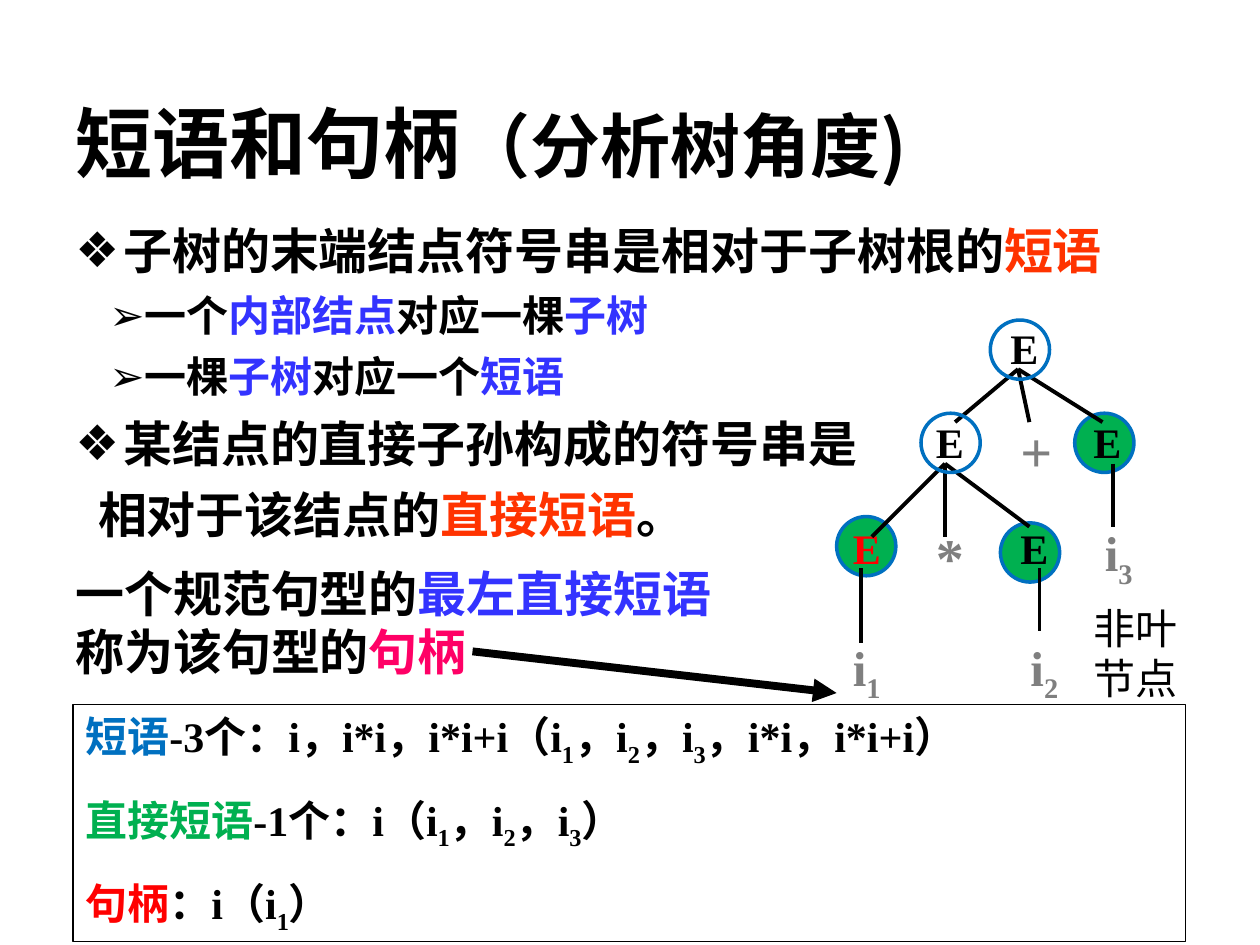
"""Build the slide on phrases and handles seen from the parse tree."""
from dataclasses import dataclass

import lxml.etree
import pptx
import pptx.dml.color
import pptx.enum.shapes
import pptx.enum.text
import pptx.oxml.ns
import pptx.util
from pptx.util import Inches


@dataclass(frozen=True)
class Theme:
    black: str = "000000"
    grey: str = "7F7F7F"
    orange: str = "FF3300"
    violet: str = "3333FF"
    blue: str = "0070C0"
    green: str = "00B050"
    red: str = "FF0000"
    pink: str = "FF0066"
    sans: str = "Noto Sans CJK SC"
    serif: str = "Times New Roman"
    plain: str = "Arial"
    title: int = 44
    subtitle: int = 40
    operator: int = 32
    large: int = 28
    medium: int = 24


theme = Theme()
qn = pptx.oxml.ns.qn


def write_spans(para, spans, size, font, bold=True):
    """Add coloured spans; the character after an underscore is a subscript."""
    para.alignment = pptx.enum.text.PP_ALIGN.LEFT
    for text, colour in spans:
        first, *rest = text.split("_")
        pieces = [(first, False)]
        for part in rest:
            pieces += [(part[0], True), (part[1:], False)]
        for piece, lowered in pieces:
            if not piece:
                continue
            span = para.add_run()
            span.text = piece
            span.font.size = pptx.util.Pt(size)
            span.font.bold = bold
            span.font.color.rgb = pptx.dml.color.RGBColor.from_string(colour)
            span.font.name = font
            properties = span._r.get_or_add_rPr()
            lxml.etree.SubElement(properties, qn("a:ea"), typeface=theme.sans)
            if lowered:
                properties.set("baseline", "-25000")


def add_circle(left, top, fill=None):
    """Draw one tree node ring, filled when a colour is given."""
    circle = page.shapes.add_shape(pptx.enum.shapes.MSO_SHAPE.OVAL, Inches(left), Inches(top), Inches(0.47), Inches(0.47))
    circle.shadow.inherit = False
    circle.line.color.rgb = pptx.dml.color.RGBColor.from_string(theme.blue)
    circle.line.width = pptx.util.Pt(2)
    if fill:
        circle.fill.solid()
        circle.fill.fore_color.rgb = pptx.dml.color.RGBColor.from_string(fill)
    else:
        circle.fill.background()


deck = pptx.Presentation()
deck.slide_width, deck.slide_height = Inches(10), Inches(7.5)
page = deck.slides.add_slide(deck.slide_layouts[5])

title = page.shapes.title
title.left, title.top, title.width, title.height = Inches(0.5), Inches(0.7), Inches(9), Inches(0.85)
title.text_frame.vertical_anchor = pptx.enum.text.MSO_ANCHOR.MIDDLE
title.text_frame.auto_size = pptx.enum.text.MSO_AUTO_SIZE.NONE
heading = title.text_frame.paragraphs[0]
write_spans(heading, [("短语和句柄", theme.black)], theme.title, theme.sans)
write_spans(heading, [("（分析树角度)", theme.black)], theme.subtitle, theme.sans)

for left, top in [(8.53, 3.28), (7.94, 4.15), (6.64, 4.1)]:
    add_circle(left, top, theme.green)

body = page.shapes.add_textbox(Inches(0.5), Inches(1.75), Inches(9.25), Inches(5.15))
body.text_frame.word_wrap = True
points = [
    ("❖", 0.38, -0.38, theme.large, theme.sans,
     [("子树的末端结点符号串是相对于子树根的", theme.black), ("短语", theme.orange)]),
    ("➢", 0.53, -0.26, theme.medium, theme.serif,
     [("一个", theme.black), ("内部结点", theme.violet), ("对应一棵", theme.black), ("子树", theme.violet)]),
    ("➢", 0.53, -0.26, theme.medium, theme.serif,
     [("一棵", theme.black), ("子树", theme.violet), ("对应一个", theme.black), ("短语", theme.violet)]),
    ("❖", 0.38, -0.38, theme.large, theme.sans, [("某结点的直接子孙构成的符号串是", theme.black)]),
    (None, 0.18, 0, theme.large, theme.sans,
     [("相对于该结点的", theme.black), ("直接短语", theme.orange), ("。", theme.black)]),
]
for index, (bullet, margin, indent, size, font, spans) in enumerate(points):
    para = body.text_frame.add_paragraph() if index else body.text_frame.paragraphs[0]
    para.line_spacing = 0.9
    if index:
        para.space_before = pptx.util.Pt(10.5 if size == theme.large else 9)
    properties = para._p.get_or_add_pPr()
    properties.set("marL", str(Inches(margin)))
    properties.set("indent", str(Inches(indent)))
    if bullet:
        colour = lxml.etree.SubElement(properties, qn("a:buClr"))
        lxml.etree.SubElement(colour, qn("a:srgbClr"), val=theme.black)
        lxml.etree.SubElement(properties, qn("a:buFont"), typeface=theme.plain)
        lxml.etree.SubElement(properties, qn("a:buChar"), char=bullet)
    write_spans(para, spans, size, font)

statement = [("一个规范句型的", theme.black), ("最左直接短语", theme.violet),
             ("称为该句型的", theme.black), ("句柄", theme.pink)]
labels = [
    (7.92, 2.51, 0.42, 0.5, theme.medium, theme.serif, [("E", theme.black)]),
    (7.33, 3.26, 0.42, 0.5, theme.medium, theme.serif, [("E", theme.black)]),
    (8, 3.26, 0.42, 0.64, theme.operator, theme.serif, [("+", theme.grey)]),
    (8.58, 3.26, 0.42, 0.5, theme.medium, theme.serif, [("E", theme.black)]),
    (6.67, 4.1, 0.42, 0.5, theme.medium, theme.serif, [("E", theme.red)]),
    (7.33, 4.1, 0.42, 0.64, theme.operator, theme.serif, [("*", theme.grey)]),
    (8, 4.1, 0.42, 0.5, theme.medium, theme.serif, [("E", theme.black)]),
    (6.67, 5.01, 0.67, 0.63, theme.large, theme.serif, [("i_1", theme.grey)]),
    (8.08, 5.01, 0.58, 0.63, theme.large, theme.serif, [("i_2", theme.grey)]),
    (8.67, 4.1, 0.52, 0.63, theme.large, theme.serif, [("i_3", theme.grey)]),
    (0.5, 4.42, 5.5, 1.04, theme.large, theme.serif, statement),
    (8.58, 4.73, 0.98, 0.9, theme.medium, theme.plain, [("非叶节点", theme.black)]),
]
for left, top, width, height, size, font, spans in labels:
    box = page.shapes.add_textbox(Inches(left), Inches(top), Inches(width), Inches(height))
    box.text_frame.word_wrap = True
    write_spans(box.text_frame.paragraphs[0], spans, size, font, bold=font != theme.plain)

root, product = (8.08, 2.93), (7.5, 3.68)
branches = [
    (root, (7.58, 3.35), 2.25), (root, (8.17, 3.35), 2.25), (root, (8.75, 3.35), 2.25),
    (product, (6.92, 4.26), 2.25), (product, (7.5, 4.26), 2.25), (product, (8.17, 4.18), 2.25),
    ((6.83, 4.51), (6.83, 5.1), 2.25), ((8.25, 4.51), (8.25, 5.01), 2.25),
    ((8.83, 3.68), (8.83, 4.18), 2.25), ((3.75, 5.17), (6.64, 5.5), 4.5),
]
for start, end, weight in branches:
    line = page.shapes.add_connector(pptx.enum.shapes.MSO_CONNECTOR.STRAIGHT, *map(Inches, start + end))
    line.line.color.rgb = pptx.dml.color.RGBColor.from_string(theme.black)
    line.line.width = pptx.util.Pt(weight)
    lxml.etree.SubElement(line._element.spPr, qn("a:effectLst"))
arrow = line
lxml.etree.SubElement(arrow.line._get_or_add_ln(), qn("a:tailEnd"), type="triangle")

summary = page.shapes.add_shape(pptx.enum.shapes.MSO_SHAPE.RECTANGLE, Inches(0.58), Inches(5.59), Inches(8.83), Inches(1.88))
summary.shadow.inherit = False
summary.fill.background()
summary.line.color.rgb = pptx.dml.color.RGBColor.from_string(theme.black)
summary.line.width = pptx.util.Pt(0.75)
summary.text_frame.word_wrap = True
summary.text_frame.vertical_anchor = pptx.enum.text.MSO_ANCHOR.TOP
answers = [
    ("短语", theme.blue, "-3个：i，i*i，i*i+i（i_1，i_2，i_3，i*i，i*i+i）"),
    ("直接短语", theme.green, "-1个：i（i_1，i_2，i_3）"),
    ("句柄", theme.red, "：i（i_1）"),
]
for index, (term, colour, answer) in enumerate(answers):
    para = summary.text_frame.add_paragraph() if index else summary.text_frame.paragraphs[0]
    if index:
        para.space_before = pptx.util.Pt(15)
    write_spans(para, [(term, colour), (answer, theme.black)], theme.medium, theme.serif)

for left, top in [(7.86, 2.54), (7.31, 3.28)]:
    add_circle(left, top)

deck.save("out.pptx")
